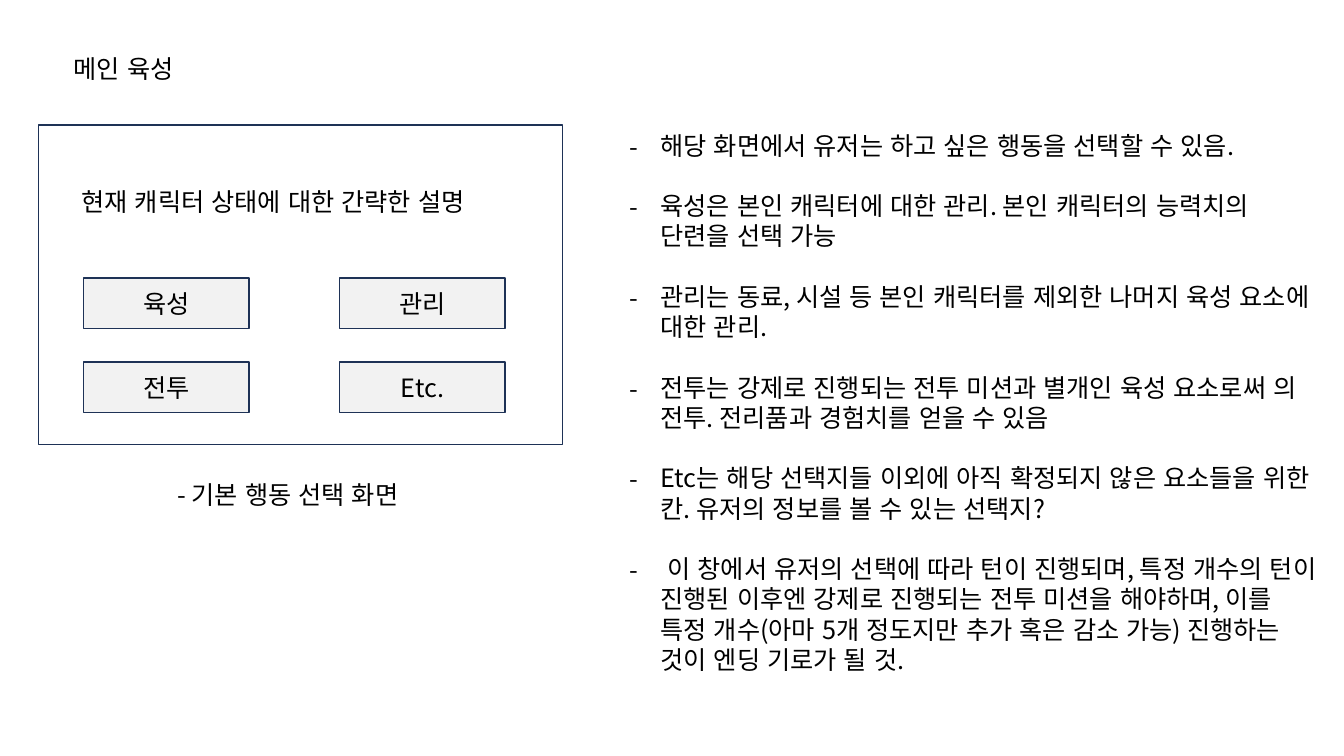
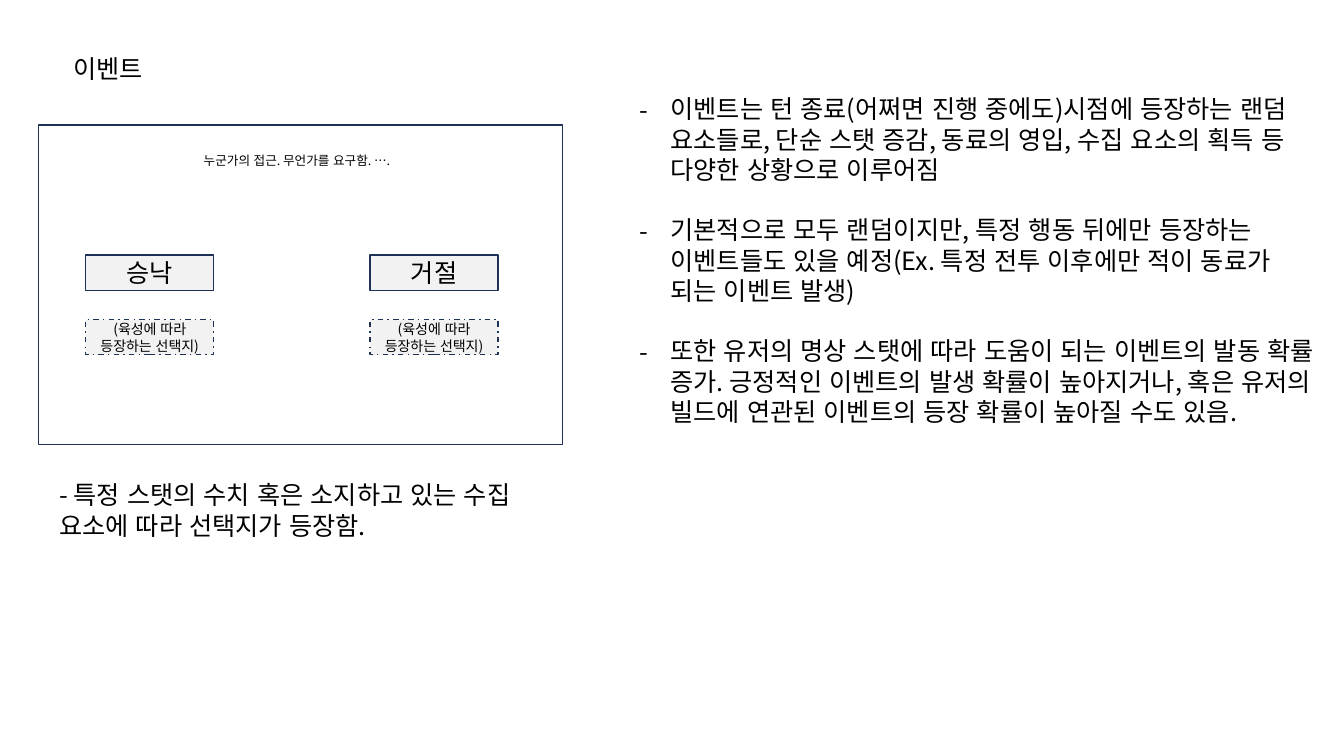
import pptx
import pptx.util
import pptx.dml.color
import pptx.enum.dml
import pptx.enum.lang
import pptx.enum.shapes
import pptx.enum.text
import pptx.oxml.ns
import lxml.etree

Inches = pptx.util.Inches
Pt = pptx.util.Pt
ALIGN = pptx.enum.text.PP_ALIGN
ANCHOR = pptx.enum.text.MSO_ANCHOR

FONT = "Noto Sans CJK KR"
TEXT, WHITE, BUTTON, BORDER = "000000", "FFFFFF", "F2F2F2", "1E3256"
BODY_SIZE = 18
LINE_RATIO = 1.2
BULLET_INDENT = 0.31
TITLE_BOX = (0.63, 0.48, 4, 0.4)
SCREEN_BOX = (0.38, 1.24, 5.2, 3.17)

PAGES = [
    {
        "title": "메인 육성",
        "points_box": (6.14, 1.24, 7.05, 5.86),
        "points": [
            "해당 화면에서 유저는 하고 싶은 행동을 선택할 수 있음.",
            "육성은 본인 캐릭터에 대한 관리. 본인 캐릭터의 능력치의 단련을 선택 가능",
            "관리는 동료, 시설 등 본인 캐릭터를 제외한 나머지 육성 요소에 대한 관리.",
            "전투는 강제로 진행되는 전투 미션과 별개인 육성 요소로써 의 전투. 전리품과 경험치를 얻을 수 있음",
            "Etc는 해당 선택지들 이외에 아직 확정되지 않은 요소들을 위한 칸. 유저의 정보를 볼 수 있는 선택지?",
            " 이 창에서 유저의 선택에 따라 턴이 진행되며, 특정 개수의 턴이 진행된 이후엔 강제로 진행되는 전투 미션을 해야하며, "
            "이를 특정 개수(아마 5개 정도지만 추가 혹은 감소 가능) 진행하는 것이 엔딩 기로가 될 것.",
        ],
        "message": ("현재 캐릭터 상태에 대한 간략한 설명", (0.71, 1.8, 4.7, 0.4), 18, ALIGN.LEFT),
        "caption": ("- 기본 행동 선택 화면", (1.66, 4.71, 2.9, 0.4)),
        "grid": {"origin": (0.83, 2.76), "step": (2.54, 0.83), "button": (1.64, 0.5)},
        "choices": [
            {"labels": ["육성", "관리"], "size": 18, "conditional": False},
            {"labels": ["전투", "Etc."], "size": 18, "conditional": False},
        ],
    },
    {
        "title": "이벤트",
        "points_box": (6.24, 0.88, 6.92, 4.04),
        "points": [
            "이벤트는 턴 종료(어쩌면 진행 중에도)시점에 등장하는 랜덤 요소들로, 단순 스탯 증감, 동료의 영입, "
            "수집 요소의 획득 등 다양한 상황으로 이루어짐",
            "기본적으로 모두 랜덤이지만, 특정 행동 뒤에만 등장하는 이벤트들도 있을 예정"
            "(Ex. 특정 전투 이후에만 적이 동료가 되는 이벤트 발생)",
            "또한 유저의 명상 스탯에 따라 도움이 되는 이벤트의 발동 확률 증가. 긍정적인 이벤트의 발생 확률이 높아지거나, "
            "혹은 유저의 빌드에 연관된 이벤트의 등장 확률이 높아질 수도 있음.",
        ],
        "message": ("누군가의 접근. 무언가를 요구함. ….", (0.85, 1.47, 4.19, 0.25), 9, ALIGN.CENTER),
        "caption": ("- 특정 스탯의 수치 혹은 소지하고 있는 수집 요소에 따라 선택지가 등장함.", (0.49, 4.71, 5.1, 0.71)),
        "grid": {"origin": (0.85, 2.53), "step": (2.82, 0.64), "button": (1.27, 0.35)},
        "choices": [
            {"labels": ["승낙", "거절"], "size": 18, "conditional": False},
            {"labels": ["(육성에 따라 등장하는 선택지)"] * 2, "size": 10, "conditional": True},
        ],
    },
]


def color(value):
    return pptx.dml.color.RGBColor.from_string(value)


def place(shape, box):
    shape.left, shape.top, shape.width, shape.height = map(Inches, box)


def write(frame, paragraphs, size=BODY_SIZE, align=ALIGN.LEFT, anchor=ANCHOR.TOP):
    frame.word_wrap = True
    frame.auto_size = pptx.enum.text.MSO_AUTO_SIZE.NONE
    frame.vertical_anchor = anchor
    for index, text in enumerate(paragraphs):
        paragraph = frame.add_paragraph() if index else frame.paragraphs[0]
        paragraph.alignment = align
        paragraph.line_spacing = Pt(size * LINE_RATIO)
        paragraph.space_before = Pt(size * LINE_RATIO if index else 0)
        paragraph.space_after = Pt(0)
        run = paragraph.add_run()
        run.text = text
        run.font.name = FONT
        run.font.size = Pt(size)
        run.font.color.rgb = color(TEXT)
        run.font.language_id = pptx.enum.lang.MSO_LANGUAGE_ID.KOREAN
        east_asian = lxml.etree.SubElement(run.font._element, pptx.oxml.ns.qn("a:ea"))
        east_asian.set("typeface", FONT)


def add_dashes(frame):
    for paragraph in frame.paragraphs:
        properties = paragraph._p.get_or_add_pPr()
        properties.set("marL", str(Inches(BULLET_INDENT)))
        properties.set("indent", str(-Inches(BULLET_INDENT)))
        font = lxml.etree.SubElement(properties, pptx.oxml.ns.qn("a:buFont"))
        font.set("typeface", FONT)
        bullet = lxml.etree.SubElement(properties, pptx.oxml.ns.qn("a:buChar"))
        bullet.set("char", "-")


def add_label(slide, text, box, size=BODY_SIZE, align=ALIGN.LEFT):
    label = slide.shapes.add_textbox(*map(Inches, box))
    write(label.text_frame, [text], size, align)


def add_panel(slide, box, fill):
    panel = slide.shapes.add_shape(pptx.enum.shapes.MSO_SHAPE.RECTANGLE, *map(Inches, box))
    panel.shadow.inherit = False
    panel.fill.solid()
    panel.fill.fore_color.rgb = color(fill)
    panel.line.color.rgb = color(BORDER)
    panel.line.width = Pt(1)
    return panel


def add_choices(slide, grid, choices):
    (left, top), (step_x, step_y) = grid["origin"], grid["step"]
    for row, choice in enumerate(choices):
        for column, label in enumerate(choice["labels"]):
            box = (left + column * step_x, top + row * step_y, *grid["button"])
            button = add_panel(slide, box, BUTTON)
            if choice["conditional"]:
                button.line.dash_style = pptx.enum.dml.MSO_LINE.DASH_DOT
            write(button.text_frame, [label], choice["size"], ALIGN.CENTER, ANCHOR.MIDDLE)


def add_page(deck, layout, page):
    slide = deck.slides.add_slide(layout)
    write(slide.shapes.title.text_frame, [page["title"]])
    points = slide.placeholders[1]
    place(points, page["points_box"])
    write(points.text_frame, page["points"])
    add_dashes(points.text_frame)
    add_panel(slide, SCREEN_BOX, WHITE)
    add_choices(slide, page["grid"], page["choices"])
    add_label(slide, *page["message"])
    add_label(slide, *page["caption"])


def main():
    deck = pptx.Presentation()
    deck.slide_width, deck.slide_height = Inches(13.33), Inches(7.5)
    layout = deck.slide_layouts[1]
    place(layout.placeholders[0], TITLE_BOX)
    for page in PAGES:
        add_page(deck, layout, page)
    deck.save("out.pptx")


if __name__ == "__main__":
    main()
